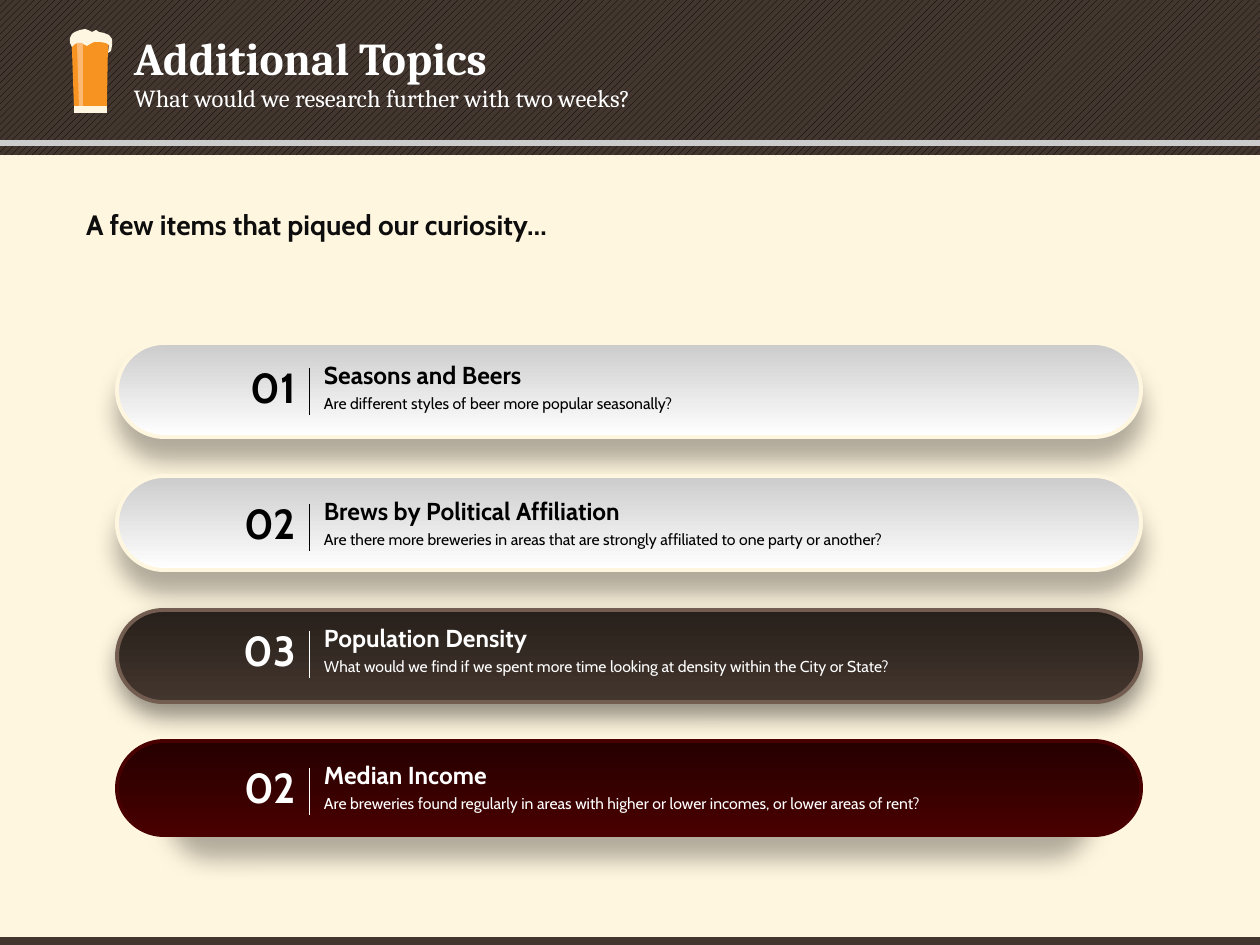
from lxml import etree
from pptx import Presentation
from pptx.dml.color import RGBColor
from pptx.enum.dml import MSO_PATTERN
from pptx.enum.shapes import MSO_CONNECTOR, MSO_SHAPE
from pptx.enum.text import MSO_ANCHOR, MSO_AUTO_SIZE, PP_ALIGN
from pptx.oxml.ns import qn
from pptx.util import Pt

STRAIGHT = MSO_CONNECTOR.STRAIGHT
RECT, PILL = MSO_SHAPE.RECTANGLE, MSO_SHAPE.ROUNDED_RECTANGLE
TOP, MIDDLE = MSO_ANCHOR.TOP, MSO_ANCHOR.MIDDLE
LEFT, RIGHT = PP_ALIGN.LEFT, PP_ALIGN.RIGHT

BLACK, WHITE = RGBColor(0, 0, 0), RGBColor(255, 255, 255)
INK = RGBColor(0x0D, 0x0D, 0x0D)
CREAM = RGBColor(0xFF, 0xF6, 0xDF)
BROWN = RGBColor(0x42, 0x36, 0x2F)
SILVER = RGBColor(0xCD, 0xCC, 0xCC)
DARK_TOP, DARK_END = RGBColor(0x28, 0x20, 0x1B), RGBColor(0x43, 0x36, 0x2E)
DARK_EDGE = RGBColor(0x73, 0x5D, 0x51)
WINE_TOP, WINE = RGBColor(0x26, 0, 0), RGBColor(0x48, 0, 0)
BEER, GLARE = RGBColor(0xF7, 0x94, 0x21), RGBColor(0xFC, 0xB9, 0x74)
FOAM = RGBColor(0xFE, 0xF6, 0xE0)

TITLE = "Additional Topics"
SUBTITLE = "What would we research further with two weeks?"
LEAD = "A few items that piqued our curiosity…"

# Style: gradient top, gradient bottom, edge, text colour,
# shadow (opacity %, distance pt, width %)
LIGHT = (SILVER, WHITE, CREAM, BLACK, (30, 12, 100))
DARK = (DARK_TOP, DARK_END, DARK_EDGE, WHITE, (42, 7, 100))
RED = (WINE_TOP, WINE, WINE, WHITE, (30, 12, 90))

# Pill top, pill height, text top, style, number, topic, question
TOPICS = [
    (343, 94, 367, LIGHT, "01", "Seasons and Beers",
     "Are different styles of beer more popular seasonally?"),
    (476, 94, 503, LIGHT, "02", "Brews by Political Affiliation",
     "Are there more breweries in areas that are strongly affiliated to one party or another?"),
    (610, 92, 630, DARK, "03", "Population Density",
     "What would we find if we spent more time looking at density within the City or State?"),
    (741, 94, 767, RED, "02", "Median Income",
     "Are breweries found regularly in areas with higher or lower incomes, or lower areas of rent?"),
]

GLASS = [
    (BEER, [(72, 35), (72, 49), (74, 106), (107, 106), (108, 49), (110, 38)]),
    (FOAM, [(74, 106), (74, 113), (107, 113), (107, 106)]),
    (FOAM, [(72, 47), (70, 43), (70, 38), (72, 34), (75, 32), (80, 30), (85, 29),
            (88, 30), (92, 32), (96, 30), (99, 32), (104, 33), (109, 35), (112, 39),
            (112, 46), (111, 51), (108, 53), (109, 45), (106, 43), (100, 42),
            (94, 42), (90, 44), (87, 46), (83, 44), (78, 43), (75, 44)]),
    (GLARE, [(82, 43), (77, 43), (79, 106), (83, 106), (83, 44)]),
]

SCALE = 914400 / 126


def px(n):
    return round(n * SCALE)


def box(x, y, w, h):
    return [px(n) for n in (x, y, w, h)]


def add_shape(slide, kind, *place):
    sp = slide.shapes.add_shape(kind, *box(*place))
    sp.shadow.inherit = False
    sp.line.fill.background()
    return sp


def add_line(slide, x1, y1, x2, y2, color, width):
    line = slide.shapes.add_connector(STRAIGHT, *box(x1, y1, x2, y2))
    line.line.color.rgb = color
    line.line.width = Pt(width)
    etree.SubElement(line._element.spPr, qn("a:effectLst"))


def write(sp, text, size, font, color, bold=False, align=LEFT, anchor=TOP, spacing=1.0):
    tf = sp.text_frame
    tf.margin_left = tf.margin_top = tf.margin_right = tf.margin_bottom = 0
    tf.word_wrap = True
    tf.auto_size = MSO_AUTO_SIZE.NONE
    tf.vertical_anchor = anchor
    p = tf.paragraphs[0]
    p.text = text
    p.alignment = align
    p.line_spacing = spacing
    p.font.size = Pt(size)
    p.font.name = font
    p.font.bold = bold
    p.font.color.rgb = color


def add_text(slide, place, *args, **kwargs):
    write(slide.shapes.add_textbox(*box(*place)), *args, **kwargs)


def add_glow(sp, opacity, distance, width):
    """Give the shape a soft shadow straight below it."""
    effects = sp._element.spPr.find(qn("a:effectLst"))
    shadow = etree.SubElement(
        effects, qn("a:outerShdw"), blurRad=str(Pt(13)), dist=str(Pt(distance)),
        dir="5400000", sx=str(width * 1000), rotWithShape="0")
    color = etree.SubElement(shadow, qn("a:srgbClr"), val=str(BLACK))
    etree.SubElement(color, qn("a:alpha"), val=str(opacity * 1000))


def add_topic(slide, top, height, text_top, style, number, topic, question):
    start, end, edge, color, shadow = style
    pill = add_shape(slide, PILL, 117, top, 1024, height)
    pill.adjustments[0] = 0.5
    pill.fill.gradient()
    pill.fill.gradient_angle = 270
    for stop, rgb in zip(pill.fill.gradient_stops, (start, end)):
        stop.color.rgb = rgb
    pill.line.color.rgb = edge
    pill.line.width = Pt(2.25)
    add_glow(pill, *shadow)
    add_text(slide, (324, text_top + 27, 649, 19), question, 9, "Cabin", color, anchor=MIDDLE)
    add_text(slide, (324, text_top - 4, 485, 27), topic, 14, "Cabin", color, True, spacing=0.9)
    add_text(slide, (166, text_top, 130, 45), number, 24, "Cabin", color, True, RIGHT, spacing=0.9)
    add_line(slide, 309, text_top + 1, 309, text_top + 48, color, 0.25)


def add_frame(slide):
    """Draw the header band, the footer strip and the beer glass."""
    slide.background.fill.solid()
    slide.background.fill.fore_color.rgb = CREAM
    band = add_shape(slide, RECT, 0, 0, 1260, 155)
    band.fill.patterned()
    band.fill.pattern = MSO_PATTERN.WIDE_UPWARD_DIAGONAL
    band.fill.fore_color.rgb = BLACK
    band.fill.back_color.rgb = BROWN
    add_line(slide, 0, 143, 1260, 143, SILVER, 3.25)
    footer = add_shape(slide, RECT, 0, 937, 1260, 8)
    footer.fill.solid()
    footer.fill.fore_color.rgb = BROWN
    for color, points in GLASS:
        builder = slide.shapes.build_freeform(*points[0], scale=SCALE)
        builder.add_line_segments(points[1:], close=True)
        part = builder.convert_to_shape()
        part.shadow.inherit = False
        part.fill.solid()
        part.fill.fore_color.rgb = color
        part.line.fill.background()


def add_headings(slide):
    title, subtitle = slide.placeholders
    headings = [
        (title, (134, 30, 507, 55), TITLE, 26, True),
        (subtitle, (134, 83, 507, 40), SUBTITLE, 14, False),
    ]
    for sp, place, text, size, bold in headings:
        sp.left, sp.top, sp.width, sp.height = box(*place)
        write(sp, text, size, "Cambria", WHITE, bold)
        slide.shapes._spTree.append(sp._element)  # in front of the band


def main():
    prs = Presentation()
    prs.slide_width, prs.slide_height = px(1260), px(945)
    slide = prs.slides.add_slide(prs.slide_layouts[0])
    add_frame(slide)
    add_headings(slide)
    for topic in TOPICS:
        add_topic(slide, *topic)
    add_text(slide, (86, 207, 624, 34), LEAD, 16, "Cabin", INK, True, anchor=MIDDLE)
    prs.save("out.pptx")


if __name__ == "__main__":
    main()
